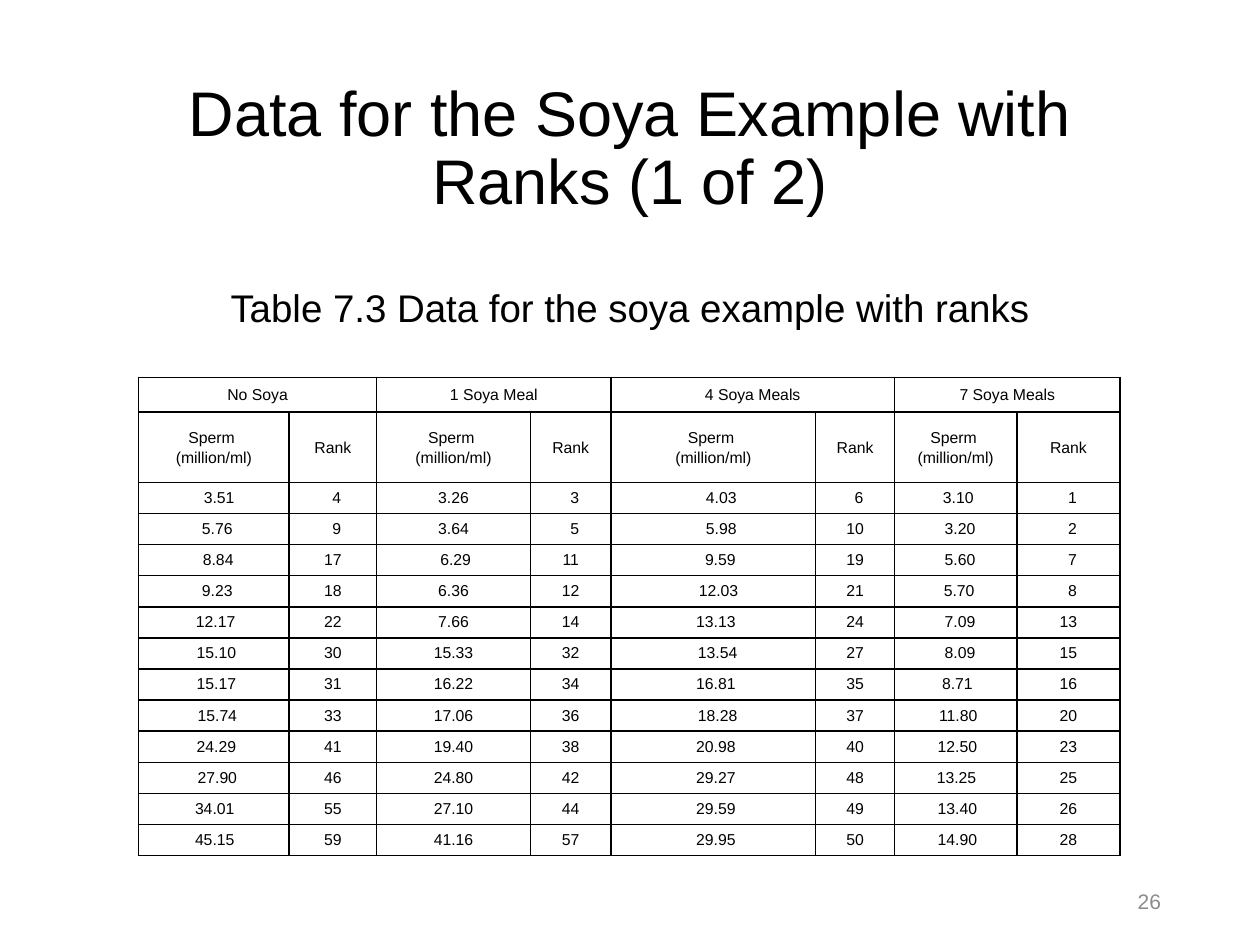
from dataclasses import dataclass

from lxml.etree import SubElement
from pptx import Presentation
from pptx.dml.color import RGBColor
from pptx.enum.text import MSO_ANCHOR, PP_ALIGN
from pptx.oxml.ns import qn
from pptx.slide import Slide
from pptx.table import Table, _Cell
from pptx.text.text import _Paragraph
from pptx.util import Pt


@dataclass(frozen=True)
class Theme:
    face: str = "Arial"
    ink: str = "000000"
    grey: str = "8C8C8C"
    title: float = 36
    body: float = 22
    page: float = 12
    cell: float = 9
    rule: float = 1


@dataclass(frozen=True)
class Label:
    text: str
    box: tuple[float, float, float, float]
    size: float
    color: str
    align: PP_ALIGN
    anchor: MSO_ANCHOR
    lead: float = 1


@dataclass(frozen=True)
class Group:
    name: str
    sperm: str
    ranks: str
    shifts: tuple[float, ...]
    widths: tuple[float, float]


THEME = Theme()
LABELS = [
    Label("Data for the Soya Example with Ranks (1 of 2)", (49.5, 34, 621, 104),
          THEME.title, THEME.ink, PP_ALIGN.CENTER, MSO_ANCHOR.MIDDLE, 0.9),
    Label("Table 7.3 Data for the soya example with ranks", (49.5, 159, 621, 45),
          THEME.body, THEME.ink, PP_ALIGN.CENTER, MSO_ANCHOR.TOP),
    Label("26", (508.5, 500.5, 162, 29),
          THEME.page, THEME.grey, PP_ALIGN.RIGHT, MSO_ANCHOR.MIDDLE),
]
GROUPS = [
    Group("No Soya",
          "3.51 5.76 8.84 9.23 12.17 15.10 15.17 15.74 24.29 27.90 34.01 45.15",
          "4 9 17 18 22 30 31 33 41 46 55 59",
          (6, 4, 5, 4, 2, 3, 3, 4, 3, 4, 1, 1), (86, 50)),
    Group("1 Soya Meal",
          "3.26 3.64 6.29 6.36 7.66 15.33 16.22 17.06 19.40 24.80 27.10 41.16",
          "3 5 11 12 14 32 34 36 38 42 44 57",
          (0, 0, 2.5, 0, 0, 0, 0, 0, 0, 0, 0, 0), (88, 46)),
    Group("4 Soya Meals",
          "4.03 5.98 9.59 12.03 13.13 13.54 16.81 18.28 20.98 29.27 29.59 29.95",
          "6 10 19 21 24 27 35 37 40 48 49 50",
          (9, 9, 8, 6, 3, 5, 3, 5, 3, 3, 3, 3), (117, 45)),
    Group("7 Soya Meals",
          "3.10 3.20 5.60 5.70 7.09 8.09 8.71 11.80 12.50 13.25 13.40 14.90",
          "1 2 7 8 13 15 16 20 23 25 26 28",
          (3, 5, 5, 4, 5, 5, 2, 3, 2, 1, 2, 2), (70, 59)),
]
ROWS = [19.7, 40.3] + [17.8] * 12
LEFT, TOP = 79.2, 215.7
HEAD, DATA = 11, 10
DIGIT = 4.5


def style(para: _Paragraph, size: float, color: str, align: PP_ALIGN) -> None:
    para.alignment = align
    font = para.font
    font.name, font.size = THEME.face, Pt(size)
    font.color.rgb = RGBColor.from_string(color)


def write(slide: Slide, label: Label) -> None:
    frame = slide.shapes.add_textbox(*map(Pt, label.box)).text_frame
    frame.word_wrap = True
    frame.vertical_anchor = label.anchor
    para = frame.paragraphs[0]
    para.text = label.text
    para.line_spacing = label.lead
    style(para, label.size, label.color, label.align)


def frame(cell: _Cell) -> None:
    props = cell._tc.get_or_add_tcPr()
    for side in ("lnL", "lnR", "lnT", "lnB"):
        line = SubElement(props, qn(f"a:{side}"), w=str(Pt(THEME.rule)))
        fill = SubElement(line, qn("a:solidFill"))
        SubElement(fill, qn("a:srgbClr"), val=THEME.ink)
    cell.fill.background()
    cell.vertical_anchor = MSO_ANCHOR.MIDDLE
    cell.margin_left = cell.margin_right = Pt(5)
    cell.margin_top = cell.margin_bottom = Pt(0)


def put(cell: _Cell, text: str, lead: float, shift: float = 0) -> None:
    para = cell.text_frame.paragraphs[0]
    para.text = text
    props = para._p.get_or_add_pPr()
    props.set("marL", str(Pt(shift)))
    props.set("indent", "0")
    para.line_spacing = Pt(lead)
    style(para, THEME.cell, THEME.ink, PP_ALIGN.CENTER)


def fill(table: Table, col: int, group: Group) -> None:
    table.cell(0, col).merge(table.cell(0, col + 1))
    put(table.cell(0, col), group.name, HEAD)
    put(table.cell(1, col), "Sperm \v(million/ml)", HEAD)
    put(table.cell(1, col + 1), "Rank", HEAD)
    pairs = zip(group.sperm.split(), group.ranks.split(), group.shifts)
    for row, (sperm, rank, shift) in enumerate(pairs, 2):
        put(table.cell(row, col), sperm, DATA, shift)
        put(table.cell(row, col + 1), rank, DATA, DIGIT if len(rank) == 1 else 0)


def grid(slide: Slide) -> None:
    widths = [width for group in GROUPS for width in group.widths]
    table = slide.shapes.add_table(
        len(ROWS), len(widths), Pt(LEFT), Pt(TOP), Pt(sum(widths)), Pt(sum(ROWS))
    ).table
    table.first_row = table.horz_banding = False
    for col, width in zip(table.columns, widths):
        col.width = Pt(width)
    for row, height in zip(table.rows, ROWS):
        row.height = Pt(height)
    for cell in table.iter_cells():
        frame(cell)
    for i, group in enumerate(GROUPS):
        fill(table, 2 * i, group)


def main() -> None:
    deck = Presentation()
    deck.slide_width, deck.slide_height = Pt(720), Pt(540)
    slide = deck.slides.add_slide(deck.slide_layouts[6])
    title, body, page = LABELS
    write(slide, title)
    write(slide, body)
    grid(slide)
    write(slide, page)
    deck.save("out.pptx")


if __name__ == "__main__":
    main()
